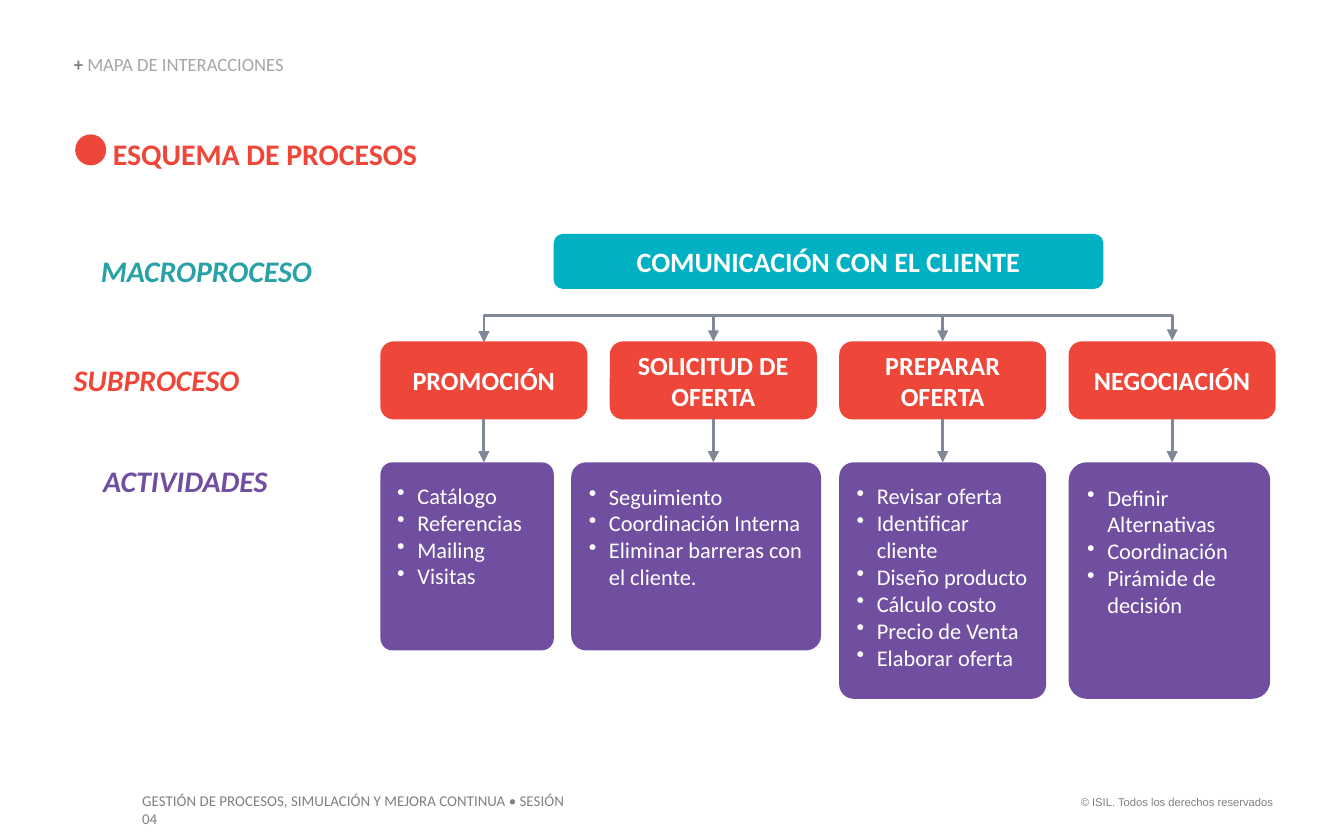
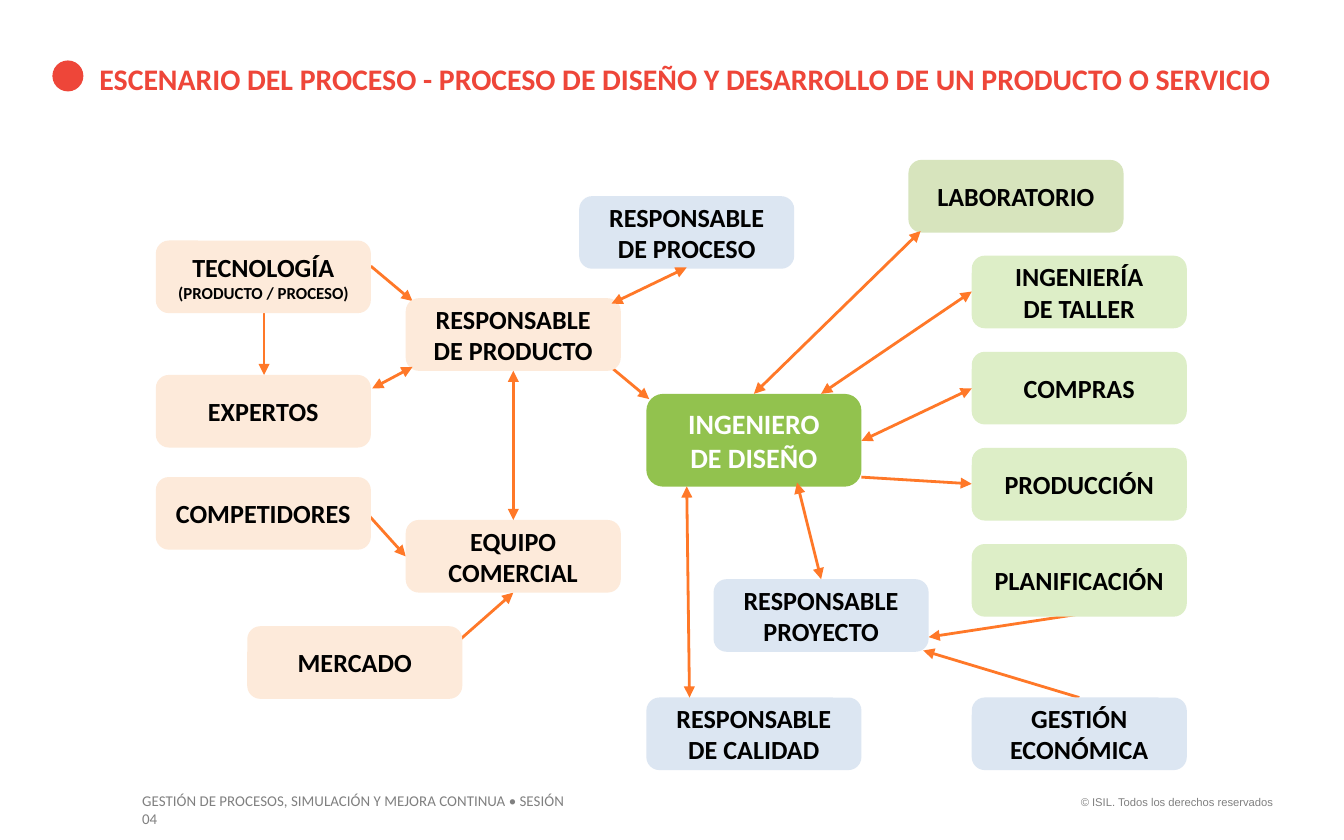
from typing import NamedTuple

from lxml.etree import SubElement
from pptx import Presentation
from pptx.dml.color import RGBColor
from pptx.enum.shapes import MSO_CONNECTOR, MSO_SHAPE
from pptx.enum.text import MSO_ANCHOR, PP_ALIGN
from pptx.oxml.ns import qn
from pptx.shapes.connector import Connector
from pptx.slide import Slide
from pptx.text.text import TextFrame
from pptx.util import Pt

WHITE = RGBColor(0xFF, 0xFF, 0xFF)
BLACK = RGBColor(0x00, 0x00, 0x00)
GREY = RGBColor(0x80, 0x80, 0x80)
LIGHT_GREY = RGBColor(0xA6, 0xA6, 0xA6)
SLATE = RGBColor(0x80, 0x87, 0x99)
RED = RGBColor(0xEE, 0x46, 0x39)
CYAN = RGBColor(0x00, 0xB1, 0xC3)
TEAL = RGBColor(0x28, 0xA2, 0xA6)
PURPLE = RGBColor(0x71, 0x4F, 0xA0)
ORANGE = RGBColor(0xFF, 0x78, 0x28)
GREEN = RGBColor(0x92, 0xC2, 0x4E)
OLIVE = RGBColor(0xD7, 0xE4, 0xBD)
LIGHT_GREEN = RGBColor(0xDD, 0xEE, 0xC7)
PALE_BLUE = RGBColor(0xDC, 0xE6, 0xF2)
PEACH = RGBColor(0xFD, 0xEA, 0xDA)

DOT_SIZE = 16.6
ROLE_WIDTH = 115.2
ROLE_HEIGHT = 38.9
STAGE_TOP = 182.9
STAGE_WIDTH = 110.9
STAGE_HEIGHT = 41.8
BAR_TOP = 168.5
ACTIVITY_TOP = 247.7
SUPPORT_LEFT = 520.6


class Style(NamedTuple):
    """Look of a piece of text."""

    size: float
    color: RGBColor
    bold: bool = False
    italic: bool = False
    align: PP_ALIGN = PP_ALIGN.LEFT
    font: str = "Calibri"


class Label(NamedTuple):
    """Text without a frame."""

    text: str
    left: float
    top: float
    width: float
    height: float
    style: Style
    wrap: bool = True
    margins: tuple[float, float, float, float] = (0, 0, 0, 0)


class Card(NamedTuple):
    """Rounded box with text."""

    text: str
    left: float
    top: float
    fill: RGBColor
    width: float = ROLE_WIDTH
    height: float = ROLE_HEIGHT
    style: Style = Style(14, BLACK, bold=True, align=PP_ALIGN.CENTER)
    corner: float = 0.18
    caption: str = ""


class Arrow(NamedTuple):
    """Straight arrow between two points."""

    x1: float
    y1: float
    x2: float
    y2: float


class Activity(NamedTuple):
    """List of activities under one subprocess."""

    left: float
    width: float
    height: float
    corner: float
    items: tuple[str, ...]


TITLE = Style(16, RED, bold=True, align=PP_ALIGN.JUSTIFY)
STAGE_STYLE = Style(14, WHITE, bold=True, align=PP_ALIGN.CENTER)
HUB_STYLE = Style(15, WHITE, bold=True, align=PP_ALIGN.CENTER)
LIST_STYLE = Style(12, WHITE)

FOOTERS = (
    Label("© ISIL. Todos los derechos reservados", 567.4, 422.6, 121.7, 14.4,
          Style(6, GREY, align=PP_ALIGN.RIGHT, font="Arial"), False, (7.2, 3.6, 7.2, 3.6)),
    Label("GESTIÓN DE PROCESOS, SIMULACIÓN Y MEJORA CONTINUA • SESIÓN 04",
          69.1, 420.5, 254.2, 17.3, Style(8, GREY), True, (7.2, 3.6, 14, 3.6)),
)

LEVELS = (
    ("MACROPROCESO", 52.6, 135.4, 115.9, TEAL),
    ("SUBPROCESO", 38.9, 193.7, 90, RED),
    ("ACTIVIDADES", 54.7, 247.7, 89.3, PURPLE),
)

STAGES = ("PROMOCIÓN", "SOLICITUD DE OFERTA", "PREPARAR\vOFERTA", "NEGOCIACIÓN")
STAGE_LEFTS = [203.8 + 122.9 * index for index in range(len(STAGES))]

ACTIVITIES = (
    Activity(203.8, 92.9, 100.8, 0.07, ("Catálogo", "Referencias", "Mailing", "Visitas")),
    Activity(306, 133.9, 100.8, 0.08,
             ("Seguimiento", "Coordinación Interna", "Eliminar barreras con el cliente.")),
    Activity(449.6, 110.9, 126.7, 0.07,
             ("Revisar oferta", "Identificar cliente", "Diseño producto", "Cálculo costo",
              "Precio de Venta", "Elaborar oferta")),
    Activity(572.5, 108, 126.7, 0.09,
             ("Definir Alternativas", "Coordinación", "Pirámide de\vdecisión")),
)

SUPPORT = ("INGENIERÍA\vDE TALLER", "COMPRAS", "PRODUCCIÓN", "PLANIFICACIÓN")

ROLES = (
    Card("INGENIERO\vDE DISEÑO", 346.3, 211, GREEN, height=49.7, style=HUB_STYLE),
    Card("LABORATORIO", 486.7, 85.7, OLIVE),
    *(Card(name, SUPPORT_LEFT, 137 + 51.5 * row, LIGHT_GREEN)
      for row, name in enumerate(SUPPORT)),
    Card("RESPONSABLE\nPROYECTO", 382.3, 310.3, PALE_BLUE),
    Card("RESPONSABLE DE CALIDAD", 346.3, 373.7, PALE_BLUE),
    Card("GESTIÓN\vECONÓMICA", SUPPORT_LEFT, 373.7, PALE_BLUE),
    Card("RESPONSABLE\nDE PROCESO", 310.3, 105.1, PALE_BLUE),
    Card("RESPONSABLE\nDE PRODUCTO", 217.4, 159.8, PEACH),
    Card("TECNOLOGÍA", 83.5, 128.9, PEACH, caption="(PRODUCTO / PROCESO)"),
    Card("EXPERTOS", 83.5, 200.9, PEACH),
    Card("COMPETIDORES", 83.5, 255.6, PEACH),
    Card("EQUIPO\nCOMERCIAL", 217.4, 278.6, PEACH),
    Card("MERCADO", 132.5, 335.5, PEACH),
)

ONE_WAY = (
    Arrow(461.5, 255.6, 520.6, 259.2),
    Arrow(578.2, 329, 497.5, 341.3),
    Arrow(239.8, 348.5, 275, 317.5),
    Arrow(196.6, 275, 217.4, 298.1),
    Arrow(198.7, 142.6, 221, 161.3),
    Arrow(325.4, 195.1, 347.8, 213.8),
    Arrow(578.2, 373.7, 494.6, 348.5),
    Arrow(141.5, 167.8, 141.5, 200.9),
)

TWO_WAY = (
    Arrow(403.9, 211, 493.2, 123.8),
    Arrow(439.9, 211, 520.6, 156.2),
    Arrow(461.5, 236.2, 520.6, 208.1),
    Arrow(439.9, 310.3, 427, 258.5),
    Arrow(369.4, 373.7, 367.9, 260.6),
    Arrow(327.6, 162.7, 367.9, 143.3),
    Arrow(275, 278.6, 275, 198.7),
    Arrow(199.4, 208.1, 221, 196.6),
)


def write_text(frame: TextFrame, text: str, style: Style) -> None:
    """Put styled text in a frame."""
    frame.text = text
    for para in frame.paragraphs:
        para.alignment = style.align
        for span in para.runs:
            span.font.name = style.font
            span.font.size = Pt(style.size)
            span.font.bold = style.bold
            span.font.italic = style.italic
            span.font.color.rgb = style.color


def set_margins(frame: TextFrame, left: float, top: float, right: float, bottom: float) -> None:
    """Set the four text insets."""
    frame.margin_left, frame.margin_top = Pt(left), Pt(top)
    frame.margin_right, frame.margin_bottom = Pt(right), Pt(bottom)


def add_label(page: Slide, label: Label) -> TextFrame:
    """Draw free text and return its frame."""
    box = page.shapes.add_textbox(Pt(label.left), Pt(label.top), Pt(label.width), Pt(label.height))
    frame = box.text_frame
    frame.word_wrap = label.wrap
    set_margins(frame, *label.margins)
    write_text(frame, label.text, label.style)
    return frame


def add_card(page: Slide, card: Card) -> TextFrame:
    """Draw a rounded box and return its frame."""
    box = page.shapes.add_shape(MSO_SHAPE.ROUNDED_RECTANGLE, Pt(card.left), Pt(card.top),
                                Pt(card.width), Pt(card.height))
    box.adjustments[0] = card.corner
    box.shadow.inherit = False
    box.fill.solid()
    box.fill.fore_color.rgb = card.fill
    box.line.fill.background()
    frame = box.text_frame
    frame.word_wrap = True
    frame.vertical_anchor = MSO_ANCHOR.MIDDLE
    text = f"{card.text}\v{card.caption}" if card.caption else card.text
    write_text(frame, text, card.style)
    if card.caption:
        frame.paragraphs[0].runs[-1].font.size = Pt(9)
    return frame


def add_activity(page: Slide, activity: Activity) -> None:
    """Draw a box with a bulleted list."""
    frame = add_card(page, Card("\n".join(activity.items), activity.left, ACTIVITY_TOP, PURPLE,
                                activity.width, activity.height, LIST_STYLE, activity.corner))
    frame.vertical_anchor = MSO_ANCHOR.TOP
    set_margins(frame, 7.2, 8.6, 7.2, 3.6)
    for para in frame.paragraphs:
        properties = para._p.get_or_add_pPr()
        properties.set("marL", str(Pt(10.8)))
        properties.set("indent", str(-Pt(10.8)))
        SubElement(properties, qn("a:buChar")).set("char", "•")


def style_connector(line: Connector, color: RGBColor, two_way: bool) -> None:
    """Give a connector its colour and arrowheads."""
    line.line.color.rgb = color
    line.line.width = Pt(1.5)
    outline = line.line._get_or_add_ln()
    for end in ("a:headEnd", "a:tailEnd") if two_way else ("a:tailEnd",):
        SubElement(outline, qn(end)).set("type", "triangle")
    SubElement(line._element.spPr, qn("a:effectLst"))


def add_arrow(page: Slide, arrow: Arrow, color: RGBColor, two_way: bool = False) -> None:
    """Draw a straight arrow."""
    line = page.shapes.add_connector(MSO_CONNECTOR.STRAIGHT, *(Pt(value) for value in arrow))
    style_connector(line, color, two_way)


def add_bracket(page: Slide, left: float, right: float, top: float, bottom: float) -> None:
    """Draw an elbow that rises from one end, runs across and drops at the other."""
    center, span = (left + right) / 2, right - left
    line = page.shapes.add_connector(
        MSO_CONNECTOR.ELBOW, Pt(center - 0.5), Pt(bottom - span / 2),
        Pt(center + 0.5), Pt(bottom + span / 2))
    properties = line._element.spPr
    for name, value in (("rot", "5400000"), ("flipH", "1"), ("flipV", "1")):
        properties.find(qn("a:xfrm")).set(name, value)
    guide = SubElement(properties.find(qn("a:prstGeom")).find(qn("a:avLst")), qn("a:gd"))
    guide.set("name", "adj1")
    guide.set("fmla", f"val {round((bottom - top) * 100000)}")
    style_connector(line, SLATE, True)


def add_page(deck: Presentation, title: Label, dot_left: float, dot_top: float) -> Slide:
    """Add a slide with footers, title and red dot."""
    page = deck.slides.add_slide(deck.slide_layouts[6])
    for label in (*FOOTERS, title):
        add_label(page, label)
    dot = page.shapes.add_shape(MSO_SHAPE.OVAL, Pt(dot_left), Pt(dot_top),
                                Pt(DOT_SIZE), Pt(DOT_SIZE))
    dot.shadow.inherit = False
    dot.fill.solid()
    dot.fill.fore_color.rgb = RED
    dot.line.fill.background()
    return page


def build_scheme(deck: Presentation) -> None:
    """Build the process scheme slide."""
    page = add_page(deck, Label("ESQUEMA DE PROCESOS", 60.5, 72.7, 294.5, 19.4, TITLE), 40.3, 72)
    frame = add_label(page, Label("+ ", 39.6, 29.5, 191.5, 10.8, Style(10, GREY, bold=True)))
    frame.vertical_anchor = MSO_ANCHOR.BOTTOM
    para = frame.paragraphs[0]
    para.line_spacing = 0.9
    span = para.add_run()
    span.text = "MAPA DE INTERACCIONES"
    span.font.name, span.font.size = "Calibri", Pt(10)
    span.font.color.rgb = LIGHT_GREY
    for text, left, top, width, color in LEVELS:
        style = Style(16, color, True, True, PP_ALIGN.CENTER)
        add_label(page, Label(text, left, top, width, 19.4, style, False))
    add_card(page, Card("COMUNICACIÓN CON EL CLIENTE", 296.6, 125.3, CYAN, 294.5, 29.5,
                        HUB_STYLE, 0.17))
    centers = [left + STAGE_WIDTH / 2 for left in STAGE_LEFTS]
    for text, left in zip(STAGES, STAGE_LEFTS):
        add_card(page, Card(text, left, STAGE_TOP, RED, STAGE_WIDTH, STAGE_HEIGHT,
                            STAGE_STYLE, 0.17))
    for activity in ACTIVITIES:
        add_activity(page, activity)
    add_bracket(page, centers[0], centers[-1], BAR_TOP, STAGE_TOP)
    for x in centers[1:-1]:
        add_arrow(page, Arrow(x, BAR_TOP, x, STAGE_TOP), SLATE)
    for x in centers:
        add_arrow(page, Arrow(x, STAGE_TOP + STAGE_HEIGHT, x, ACTIVITY_TOP), SLATE)


def build_scenario(deck: Presentation) -> None:
    """Build the design process scenario slide."""
    title = "ESCENARIO DEL PROCESO - PROCESO DE DISEÑO Y DESARROLLO DE UN PRODUCTO O SERVICIO"
    page = add_page(deck, Label(title, 53.3, 32.4, 635, 19.4, TITLE), 28.1, 32.4)
    for arrow in ONE_WAY:
        add_arrow(page, arrow, ORANGE)
    for role in ROLES:
        add_card(page, role)
    for arrow in TWO_WAY:
        add_arrow(page, arrow, ORANGE, two_way=True)


def main() -> None:
    """Build and save the deck."""
    deck = Presentation()
    deck.slide_width, deck.slide_height = Pt(720), Pt(450)
    build_scheme(deck)
    build_scenario(deck)
    deck.save("out.pptx")


if __name__ == "__main__":
    main()
